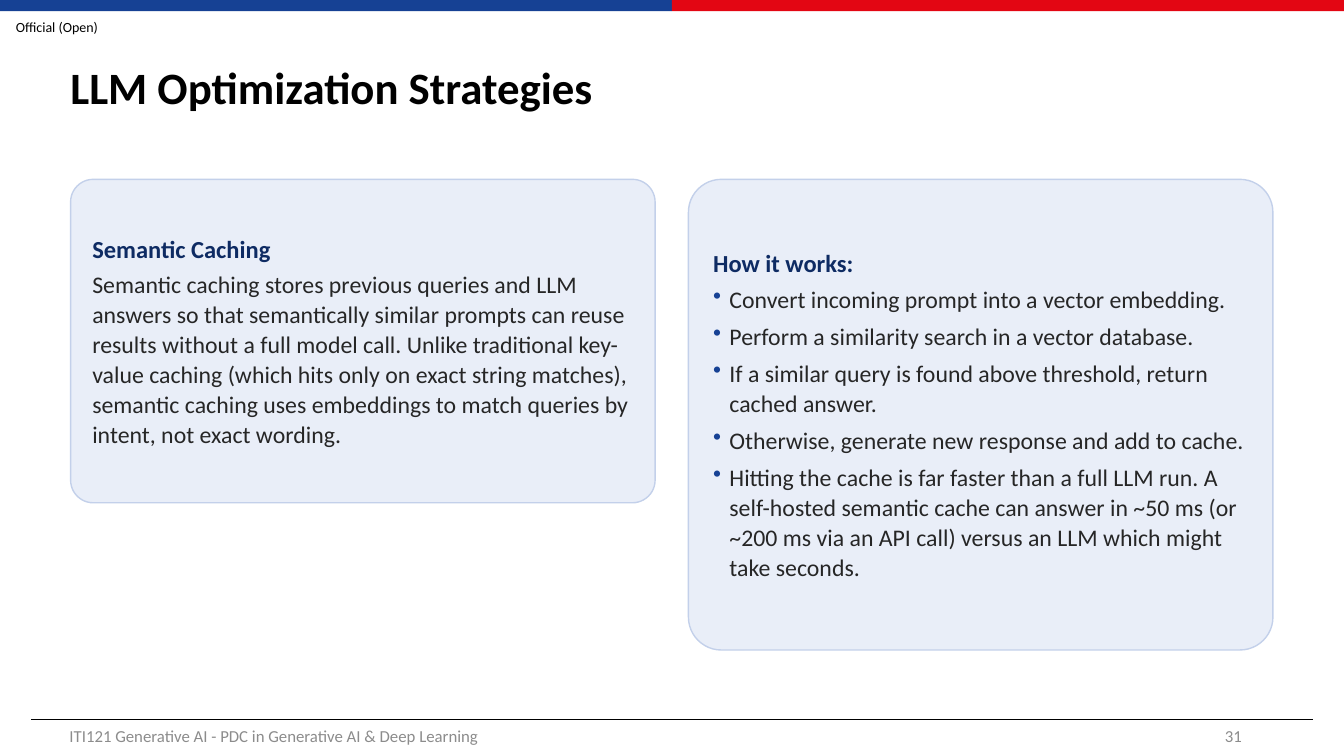
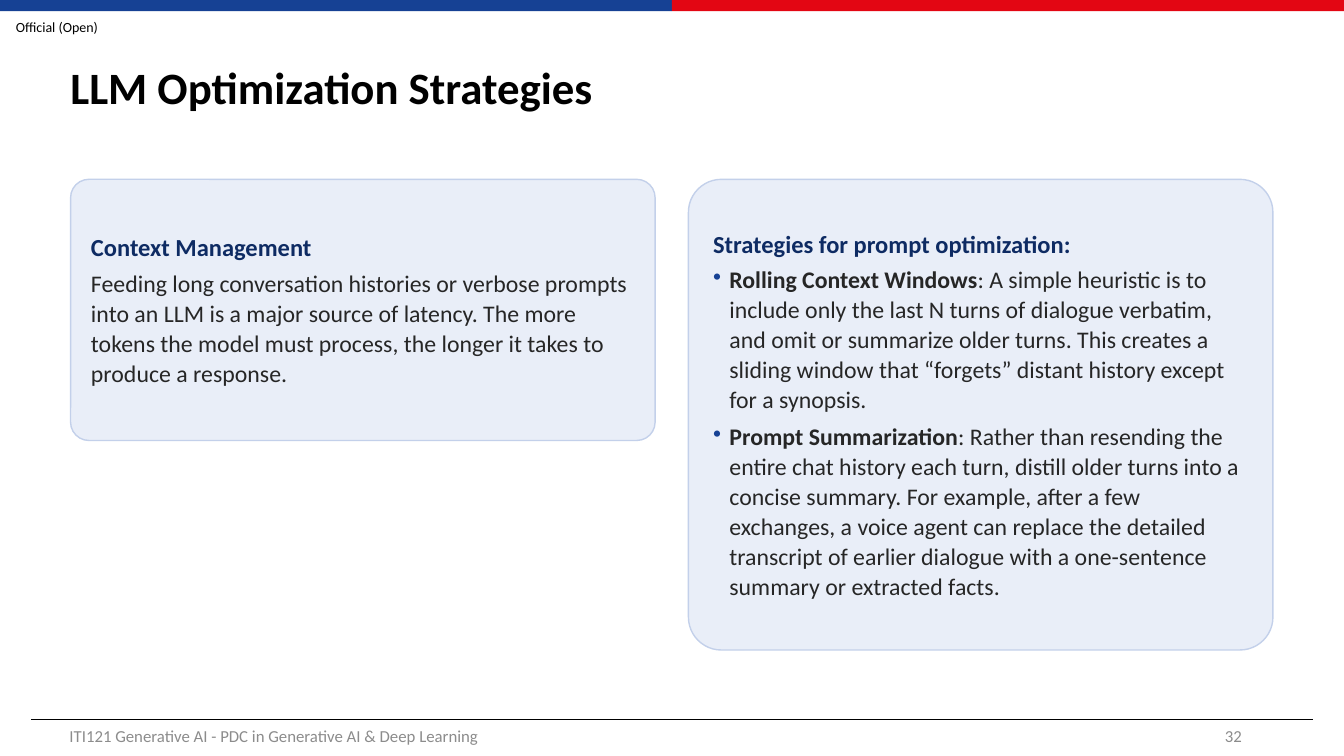
from lxml import etree
from pptx import Presentation
from pptx import util as u
from pptx.dml.color import RGBColor
from pptx.enum import shapes, text
from pptx.oxml import ns

COLORS = {
    "blue": "164194", "red": "E30613", "black": "000000", "gray": "8C8C8C",
    "card": "E9EEF8", "border": "C3D0EA", "heading": "0E2B63", "body": "262626",
}
FONT = "Calibri"
FOOTER = "ITI121 Generative AI - PDC in Generative AI & Deep Learning"
CARD_TOP, CARD_WIDTH = 4.52, 14.73
CARD_LEFTS = (1.78, 17.35)

# Each card: height in cm, heading, bulleted or not, paragraphs as (bold term, text)
SLIDES = [
    (31, [
        (8.15, "Semantic Caching", False, [
            ("", "Semantic caching stores previous queries and LLM answers so that "
                 "semantically similar prompts can reuse results without a full model call. "
                 "Unlike traditional key-value caching (which hits only on exact string "
                 "matches), semantic caching uses embeddings to match queries by intent, "
                 "not exact wording."),
        ]),
        (11.86, "How it works:", True, [
            ("", "Convert incoming prompt into a vector embedding."),
            ("", "Perform a similarity search in a vector database."),
            ("", "If a similar query is found above threshold, return cached answer."),
            ("", "Otherwise, generate new response and add to cache."),
            ("", "Hitting the cache is far faster than a full LLM run. A self-hosted "
                 "semantic cache can answer in ~50 ms (or ~200 ms via an API call) versus "
                 "an LLM which might take seconds."),
        ]),
    ]),
    (32, [
        (6.58, "Context Management", False, [
            ("", "Feeding long conversation histories or verbose prompts into an LLM is a "
                 "major source of latency. The more tokens the model must process, the "
                 "longer it takes to produce a response."),
        ]),
        (11.86, "Strategies for prompt optimization:", True, [
            ("Rolling Context Windows",
             ": A simple heuristic is to include only the last N turns of dialogue "
             "verbatim, and omit or summarize older turns. This creates a sliding window "
             "that “forgets” distant history except for a synopsis."),
            ("Prompt Summarization",
             ": Rather than resending the entire chat history each turn, distill older "
             "turns into a concise summary. For example, after a few exchanges, a voice "
             "agent can replace the detailed transcript of earlier dialogue with a "
             "one-sentence summary or extracted facts."),
        ]),
    ]),
]


def style(paragraph, size, color, bold=False):
    font = paragraph.font
    font.name, font.size, font.bold = FONT, u.Pt(size), bold
    font.color.rgb = RGBColor.from_string(COLORS[color])


def add_label(slide, box, words, size, color, alignment, margin=0.25):
    label = slide.shapes.add_textbox(*map(u.Cm, box))
    frame = label.text_frame
    frame.word_wrap = True
    frame.vertical_anchor = text.MSO_ANCHOR.MIDDLE
    frame.margin_left = frame.margin_right = u.Cm(margin)
    frame.margin_top = frame.margin_bottom = u.Cm(margin / 2)
    paragraph = frame.paragraphs[0]
    paragraph.text, paragraph.alignment = words, alignment
    style(paragraph, size, color)
    return label


presentation = Presentation()
presentation.slide_width, presentation.slide_height = u.Cm(33.87), u.Cm(19.05)
layout = presentation.slide_layouts.get_by_name("Title Only")

# Title place, shared through the layout
layout_title = layout.placeholders[0]
layout_title.left, layout_title.top = u.Cm(1.52), u.Cm(0.76)
layout_title.width, layout_title.height = u.Cm(30.68), u.Cm(3)

for number, cards in SLIDES:
    slide = presentation.slides.add_slide(layout)

    # Bands, classification and footer rule, drawn once and moved to the layout
    if number == SLIDES[0][0]:
        shared = [add_label(slide, (0, 0.3, 2.87, 0.74), "Official (Open)", 10, "black",
                            text.PP_ALIGN.CENTER, 0)]
        half = presentation.slide_width // 2
        for index, color in enumerate(("blue", "red")):
            band = slide.shapes.add_shape(shapes.MSO_SHAPE.RECTANGLE, index * half, 0,
                                          half, u.Cm(0.28))
            band.shadow.inherit = False
            band.fill.solid()
            band.fill.fore_color.rgb = RGBColor.from_string(COLORS[color])
            band.line.fill.background()
            shared.append(band)
        rule = slide.shapes.add_connector(shapes.MSO_CONNECTOR.STRAIGHT, u.Cm(0.79),
                                          u.Cm(18.13), u.Cm(33.1), u.Cm(18.13))
        rule.line.color.rgb = RGBColor.from_string(COLORS["black"])
        rule.line.width = u.Pt(0.5)
        etree.SubElement(rule.element.spPr, ns.qn("a:effectLst"))
        for shape in shared + [rule]:
            layout.shapes.element.append(shape.element)

    # Title
    slide.shapes.title.text = "LLM Optimization Strategies"
    slide.shapes.title.text_frame.vertical_anchor = text.MSO_ANCHOR.MIDDLE
    paragraph = slide.shapes.title.text_frame.paragraphs[0]
    paragraph.alignment, paragraph.line_spacing = text.PP_ALIGN.LEFT, 0.9
    style(paragraph, 32, "black", True)

    # Footer
    add_label(slide, (1.5, 18.03, 11.43, 1.02), FOOTER, 12, "gray", text.PP_ALIGN.LEFT)
    add_label(slide, (23.93, 18.03, 7.62, 1.02), str(number), 12, "gray",
              text.PP_ALIGN.RIGHT)

    # Cards
    for left, (height, heading, bulleted, entries) in zip(CARD_LEFTS, cards):
        card = slide.shapes.add_shape(shapes.MSO_SHAPE.ROUNDED_RECTANGLE, u.Cm(left),
                                      u.Cm(CARD_TOP), u.Cm(CARD_WIDTH), u.Cm(height))
        card.adjustments[0] = 0.07
        card.shadow.inherit = False
        card.fill.solid()
        card.fill.fore_color.rgb = RGBColor.from_string(COLORS["card"])
        card.line.color.rgb = RGBColor.from_string(COLORS["border"])
        card.line.width = u.Pt(1)
        frame = card.text_frame
        frame.word_wrap = True
        frame.vertical_anchor = text.MSO_ANCHOR.MIDDLE
        frame.margin_left = frame.margin_right = u.Cm(0.38)
        frame.margin_top = frame.margin_bottom = u.Cm(0.25)

        paragraph = frame.paragraphs[0]
        paragraph.text, paragraph.alignment = heading, text.PP_ALIGN.LEFT
        paragraph.space_after = u.Pt(4)
        style(paragraph, 17.5, "heading", True)

        for term, words in entries:
            paragraph = frame.add_paragraph()
            paragraph.alignment = text.PP_ALIGN.LEFT
            paragraph.line_spacing, paragraph.space_after = 1.05, u.Pt(5)
            if bulleted:
                properties = paragraph._p.get_or_add_pPr()
                properties.set("marL", str(u.Cm(0.41)))
                properties.set("indent", str(-u.Cm(0.41)))
                bullet_color = etree.SubElement(properties, ns.qn("a:buClr"))
                etree.SubElement(bullet_color, ns.qn("a:srgbClr"), val=COLORS["blue"])
                etree.SubElement(properties, ns.qn("a:buChar"), char="•")
            style(paragraph, 17, "body")
            if term:
                run = paragraph.add_run()
                run.text, run.font.bold = term, True
            paragraph.add_run().text = words

presentation.save("out.pptx")
